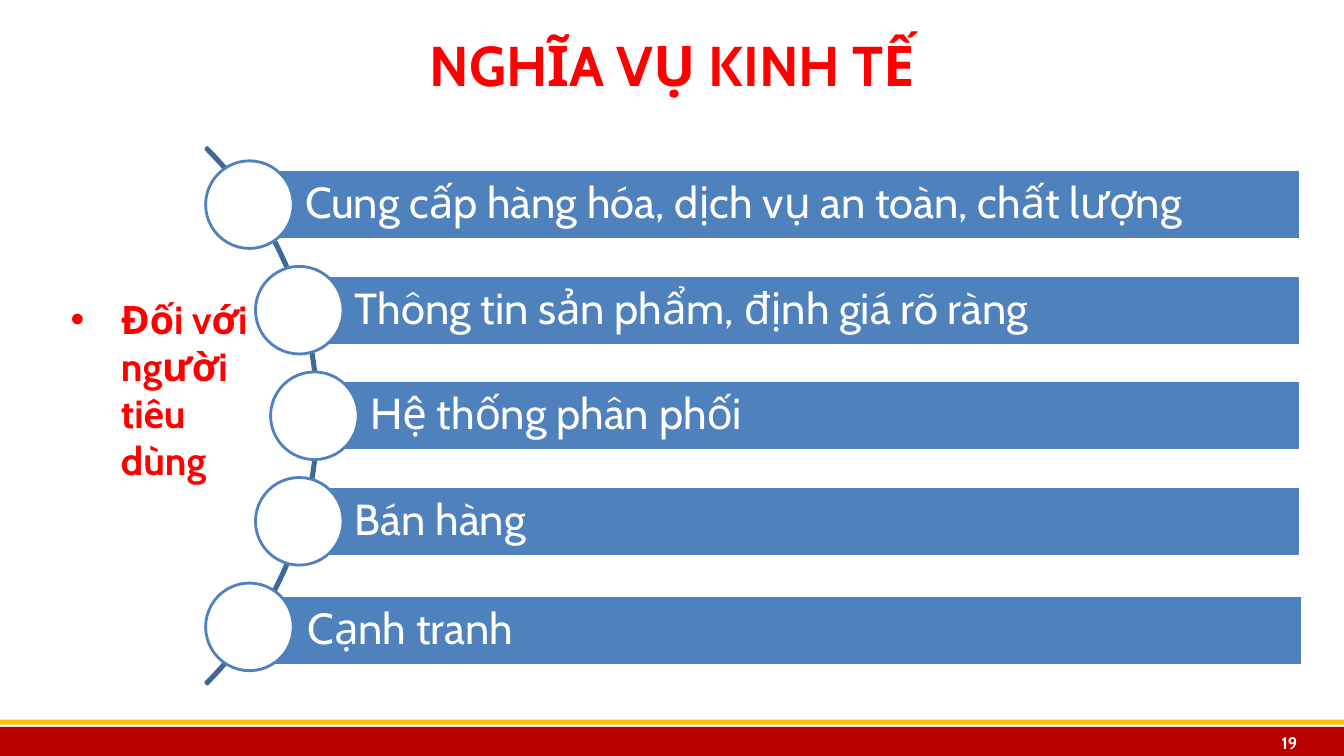
"""Build the slide on economic obligations towards consumers."""
import math

import pptx
import pptx.dml.color
import pptx.enum.shapes
import pptx.enum.text
import pptx.oxml
import pptx.oxml.ns
import pptx.util

Pt = pptx.util.Pt
SHAPES = pptx.enum.shapes.MSO_SHAPE
ALIGN = pptx.enum.text.PP_ALIGN

TITLE = "NGHĨA VỤ KINH TẾ"
AUDIENCE = "Đối với người tiêu dùng"
PAGE_NUMBER = "19"
OBLIGATIONS = [
    {"text": "Cung cấp hàng hóa, dịch vụ an toàn, chất lượng", "shift": (0, 0)},
    {"text": "Thông tin sản phẩm, định giá rõ ràng", "shift": (0, 0)},
    {"text": "Hệ thống phân phối", "shift": (0, 0)},
    {"text": "Bán hàng", "shift": (0, 0)},
    {"text": "Cạnh tranh", "shift": (1.8, 2.4)},
]
COLORS = {"red": "FF0000", "footer": "B80000", "gold": "FFC000",
          "bar": "4F81BD", "arc": "3F6797", "white": "FFFFFF"}
FONT = "Cabin"

WIDTH, HEIGHT = 960, 540
ARC_X, ARC_Y, ARC_RADIUS = -43.6, 297, 271
CIRCLE_PATH_RADIUS = 268.2
CIRCLE_SIZE = 62.6
BAR_HEIGHT, BAR_RIGHT = 50.2, 928.8
ROW_STEP = 75.4


def color(name):
    return pptx.dml.color.RGBColor.from_string(COLORS[name])


def add_shape(slide, kind, box, fill=None, line=None):
    shape = slide.shapes.add_shape(kind, *map(Pt, box))
    shape.shadow.inherit = False
    if fill:
        shape.fill.solid()
        shape.fill.fore_color.rgb = color(fill)
    else:
        shape.fill.background()
    if line:
        shape.line.color.rgb = color(line)
        shape.line.width = Pt(2)
    else:
        shape.line.fill.background()
    return shape


def place(shape, box):
    shape.left, shape.top, shape.width, shape.height = map(Pt, box)


def write(shape, text, size, ink, bold=False, align=ALIGN.LEFT, middle=True):
    frame = shape.text_frame
    frame.word_wrap = True
    frame.auto_size = pptx.enum.text.MSO_AUTO_SIZE.NONE
    anchors = pptx.enum.text.MSO_ANCHOR
    frame.vertical_anchor = anchors.MIDDLE if middle else anchors.TOP
    paragraph = frame.paragraphs[0]
    paragraph.alignment = align
    run = paragraph.add_run()
    run.text = text
    run.font.name = FONT
    run.font.size = Pt(size)
    run.font.bold = bold
    run.font.color.rgb = color(ink)
    return frame


def add_bullet(paragraph, indent):
    properties = paragraph._p.get_or_add_pPr()
    properties.set("marL", str(Pt(indent)))
    properties.set("indent", str(-Pt(indent)))
    for tag, name, value in (("buFont", "typeface", "Arial"), ("buChar", "char", "•")):
        properties.append(pptx.oxml.parse_xml(
            f'<a:{tag} {pptx.oxml.ns.nsdecls("a")} {name}="{value}"/>'))


def add_obligation(slide, row, obligation):
    offset = (row - (len(OBLIGATIONS) - 1) / 2) * ROW_STEP
    center_x = ARC_X + math.sqrt(CIRCLE_PATH_RADIUS ** 2 - offset ** 2)
    center_y = ARC_Y + offset
    shift_x, shift_y = obligation["shift"]
    bar = add_shape(slide, SHAPES.RECTANGLE,
                    (center_x + shift_x, center_y - BAR_HEIGHT / 2 + shift_y,
                     BAR_RIGHT - center_x, BAR_HEIGHT), "bar", "white")
    frame = write(bar, obligation["text"], 31, "white")
    frame.margin_left = Pt(39.8)
    frame.margin_right = frame.margin_top = frame.margin_bottom = Pt(6.2)
    frame.paragraphs[0].line_spacing = 0.9
    add_shape(slide, SHAPES.OVAL,
              (center_x - CIRCLE_SIZE / 2, center_y - CIRCLE_SIZE / 2,
               CIRCLE_SIZE, CIRCLE_SIZE), "white", "bar")


def main():
    presentation = pptx.Presentation()
    presentation.slide_width, presentation.slide_height = Pt(WIDTH), Pt(HEIGHT)
    slide = presentation.slides.add_slide(presentation.slide_layouts[1])

    add_shape(slide, SHAPES.RECTANGLE, (0, 519.1, WIDTH, HEIGHT - 519.1), "footer")
    add_shape(slide, SHAPES.RECTANGLE, (0, 514.1, WIDTH, 3.6), "gold")

    title = slide.shapes.title
    place(title, (26.6, 3.6, 907.2, 85))
    write(title, TITLE, 40, "red", bold=True, align=ALIGN.CENTER)

    arc = add_shape(slide, SHAPES.BLOCK_ARC,
                    (ARC_X - ARC_RADIUS, ARC_Y - ARC_RADIUS,
                     2 * ARC_RADIUS, 2 * ARC_RADIUS), line="arc")
    for index, value in enumerate((189, 27, 0.003)):
        arc.adjustments[index] = value

    for row, obligation in enumerate(OBLIGATIONS):
        add_obligation(slide, row, obligation)

    number = slide.shapes.add_textbox(*map(Pt, (871.2, 519.1, 62.6, 22.3)))
    frame = write(number, PAGE_NUMBER, 12, "white", bold=True, align=ALIGN.RIGHT)
    frame.margin_top = frame.margin_bottom = 0

    audience = slide.placeholders[1]
    place(audience, (43.2, 207.4, 141.8, 177.1))
    paragraph = audience.text_frame.paragraphs[0]
    paragraph.space_before = Pt(0)
    add_bullet(paragraph, 36)
    write(audience, AUDIENCE, 28, "red", bold=True, middle=False)

    presentation.save("out.pptx")


if __name__ == "__main__":
    main()
